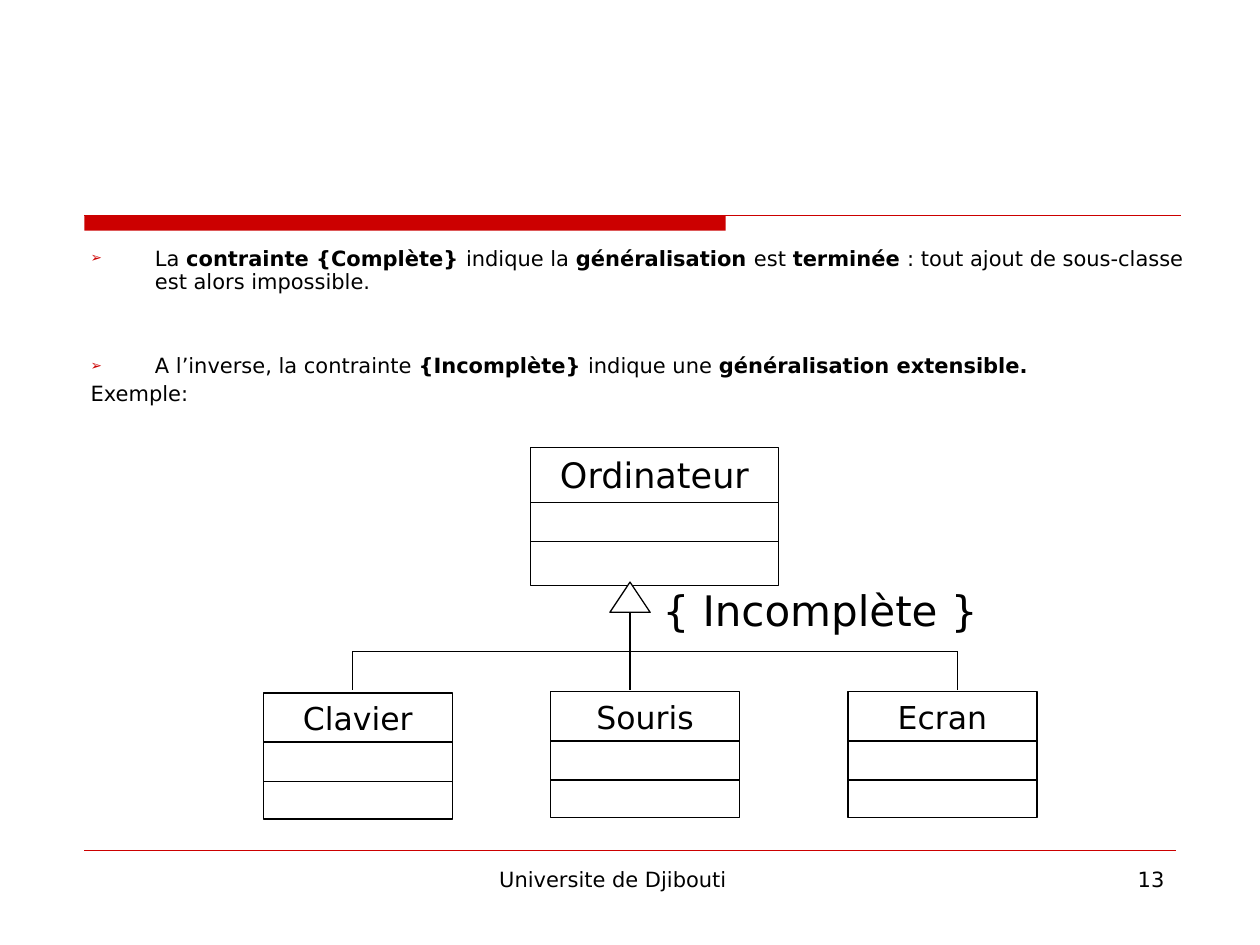
from lxml import etree
from pptx import Presentation, util as u
from pptx.dml.color import RGBColor
from pptx.enum import shapes, text
from pptx.oxml import ns

FONT, BLACK, RED, WHITE = "DejaVu Sans", "000000", "CC0000", "FFFFFF"
LEFT, CENTER, RIGHT = text.PP_ALIGN.LEFT, text.PP_ALIGN.CENTER, text.PP_ALIGN.RIGHT


def paint(color_format, hex_value):
    color_format.rgb = RGBColor.from_string(hex_value)


def rule(x1, y1, x2, y2, color=BLACK, width=0.75):
    """Draw a straight line between two grid points."""
    ends = [round(v * cell) for v in (x1, y1, x2, y2)]
    line = s.shapes.add_connector(shapes.MSO_CONNECTOR.STRAIGHT, *ends)
    paint(line.line.color, color)
    line.line.width = u.Pt(width)
    etree.SubElement(line._element.spPr, ns.qn("a:effectLst"))


prs = Presentation()
prs.slide_width, prs.slide_height = u.Inches(10), u.Inches(7.5)
cell = prs.slide_width // 100  # grid of 100 columns by 75 rows
s = prs.slides.add_slide(prs.slide_layouts[1])
title = s.shapes.title._element
title.getparent().remove(title)

# Header bar and footer rule
bar = s.shapes.add_shape(shapes.MSO_SHAPE.RECTANGLE,
                         *[round(v * cell) for v in (6.7, 17.1, 50.9, 1.2)])
bar.shadow.inherit = False
bar.fill.solid()
paint(bar.fill.fore_color, RED)
bar.line.fill.background()
rule(6.7, 17.1, 93.7, 17.1, RED)
rule(6.7, 67.5, 93.3, 67.5, RED, 0.25)

# Body: runs alternate between regular and bold
body = s.placeholders[1]
box = dict(left=6.2, top=19.2, width=91.8, height=46.7)
for name, value in box.items():
    setattr(body, name, round(value * cell))
tf = body.text_frame
tf.auto_size = text.MSO_AUTO_SIZE.NONE
paragraphs = [
    (0, True, ["La ", "contrainte {Complète} ", "indique la ", "généralisation ", "est ",
               "terminée ", ": tout ajout de sous-classe est alors impossible."]),
    (35.5, True, ["A l’inverse, la contrainte ", "{Incomplète} ", "indique une ",
                  "généralisation extensible."]),
    (3, False, ["Exemple:"]),
]
for i, (before, bulleted, runs) in enumerate(paragraphs):
    p = tf.paragraphs[0] if i == 0 else tf.add_paragraph()
    pPr = p._p.get_or_add_pPr()
    pPr.set("marL", str(u.Inches(0.51)))
    pPr.set("indent", str(-u.Inches(0.51)))
    if bulleted:
        color = etree.SubElement(pPr, ns.qn("a:buClr"))
        etree.SubElement(color, ns.qn("a:srgbClr"), val=RED)
        etree.SubElement(pPr, ns.qn("a:buSzPct"), val="65000")
        etree.SubElement(pPr, ns.qn("a:buFont"), typeface=FONT)
        etree.SubElement(pPr, ns.qn("a:buChar"), char="➢")
    else:
        etree.SubElement(pPr, ns.qn("a:buNone"))
    p.line_spacing, p.space_before = 0.9, u.Pt(before)
    for j, words in enumerate(runs):
        r = p.add_run()
        r.text = words
        for name, value in dict(name=FONT, size=u.Pt(12), bold=j % 2 == 1).items():
            setattr(r.font, name, value)
        paint(r.font.color, BLACK)

# Class boxes: name, attributes and operations compartments
labels = []
classes = [
    ("Ordinateur", 20, (42.1, 35.5, 19.7, 11), (4.4, 7.5)),
    ("Clavier", 18, (20.9, 55, 15, 10), (3.9, 7)),
    ("Souris", 18, (43.7, 54.9, 15, 10), (3.9, 7)),
    ("Ecran", 18, (67.3, 54.9, 15, 10), (3.9, 7)),
]
for name, size, (x, y, w, h), dividers in classes:
    sp = s.shapes.add_shape(shapes.MSO_SHAPE.RECTANGLE,
                            *[round(v * cell) for v in (x, y, w, h)])
    sp.shadow.inherit = False
    sp.fill.background()
    paint(sp.line.color, BLACK)
    sp.line.width = u.Pt(0.75)
    labels.append((sp, name, size, CENTER))
    for dy in dividers:
        rule(x, y + dy, x + w, y + dy)

# Generalisation tree
for x, top in ((28, 51.7), (50, 48.5), (76, 51.7)):
    rule(x, top, x, 54.8)
rule(28, 51.7, 76, 51.7)
arrow = s.shapes.add_shape(shapes.MSO_SHAPE.ISOSCELES_TRIANGLE,
                           *[round(v * cell) for v in (48.4, 46.2, 3.2, 2.4)])
arrow.shadow.inherit = False
arrow.fill.solid()
paint(arrow.fill.fore_color, WHITE)
paint(arrow.line.color, BLACK)
arrow.line.width = u.Pt(0.75)

# Constraint label and footer
for words, size, align, area in [
    ("{ Incomplète }", 24, LEFT, (51.6, 45.9, 33.1, 5)),
    ("Universite de Djibouti", 12, CENTER, (32.8, 68.3, 31.7, 5.2)),
    ("13", 12, RIGHT, (71.7, 68.3, 21.7, 5.2)),
]:
    sp = s.shapes.add_textbox(*[round(v * cell) for v in area])
    labels.append((sp, words, size, align))

for sp, words, size, align in labels:
    tf = sp.text_frame
    tf.word_wrap, tf.vertical_anchor = True, text.MSO_ANCHOR.TOP
    p = tf.paragraphs[0]
    p.alignment = align
    r = p.add_run()
    r.text = words
    r.font.name, r.font.size = FONT, u.Pt(size)
    paint(r.font.color, BLACK)

prs.save("out.pptx")
